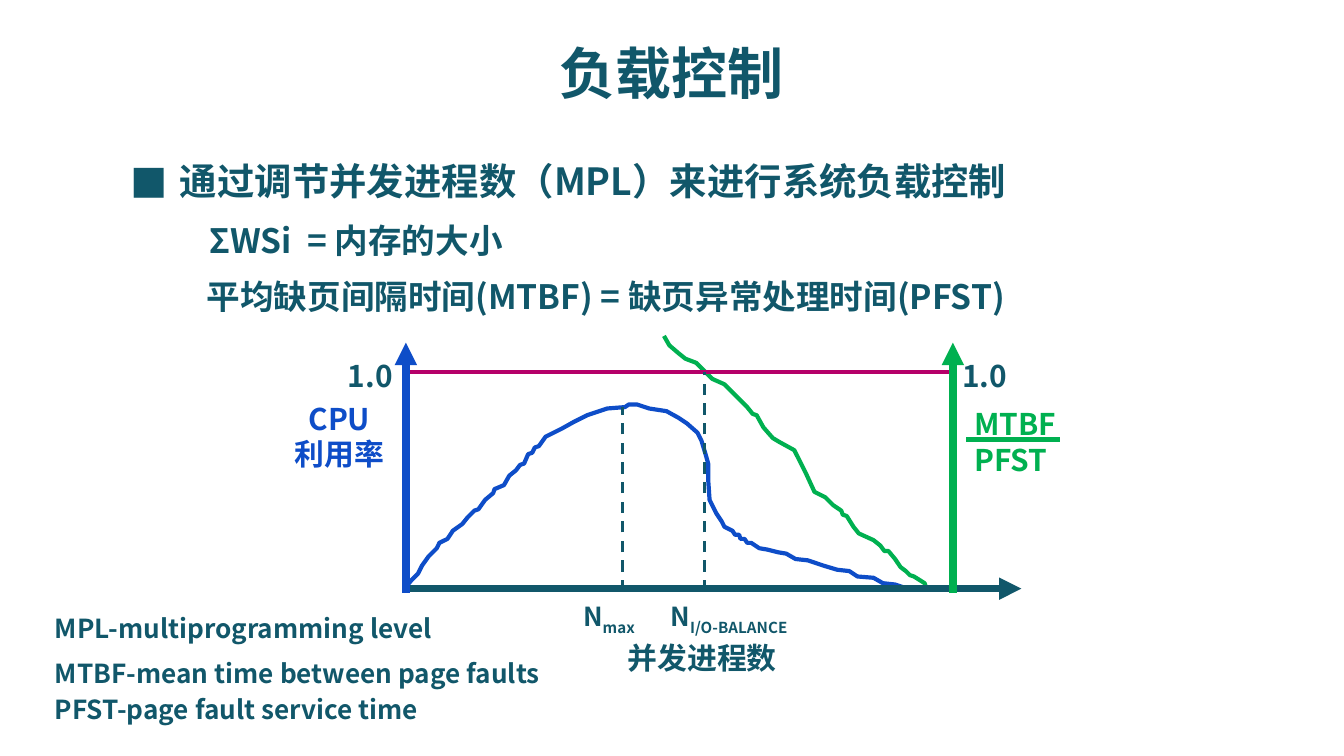
from lxml import etree
from pptx import Presentation, util as u
from pptx.dml.color import RGBColor
from pptx.enum import dml, text
from pptx.oxml.ns import qn

# Grid: 1000 columns on a 16:9 slide, one cell is 0.01 inch
CELL = u.Inches(0.01)
INK, BLUE, GREEN, RED = "11576A", "0E4DC8", "00B050", "B50069"
SC, JP = "Noto Sans CJK SC", "Noto Sans CJK JP"
LEFT, MID = text.PP_ALIGN.LEFT, text.PP_ALIGN.CENTER

prs = Presentation()
prs.slide_width = 1000 * CELL
prs.slide_height = prs.slide_width * 9 // 16
slide = prs.slides.add_slide(prs.slide_layouts[5])


def paint(part, hue):
    """Colour a font or a line."""
    fill = part.fill
    fill.solid()
    fill.fore_color.rgb = RGBColor.from_string(hue)


def write(para, words, size, hue=INK, face=SC, sub=False):
    """Add one bold run."""
    run = para.add_run()
    run.text = words
    run.font.size, run.font.bold, run.font.name = u.Pt(size), True, face
    paint(run.font, hue)
    props = run._r.get_or_add_rPr()
    etree.SubElement(props, qn("a:ea")).set("typeface", face)
    if sub:
        props.set("baseline", "-25000")


# Title
title = slide.shapes.title
title.left, title.top, title.width, title.height = 0, 23 * CELL, 1000 * CELL, 61 * CELL
title.text_frame.vertical_anchor = text.MSO_ANCHOR.MIDDLE
head = title.text_frame.paragraphs[0]
head.alignment = MID
write(head, "负载控制", 30)

# Curves: points in grid cells
cpu = [
    (302, 437), (306, 432), (311, 427), (314, 421), (319, 414), (325, 408),
    (327, 404), (333, 401), (337, 395), (344, 390), (348, 385), (353, 380),
    (356, 379), (361, 372), (367, 367), (368, 364), (375, 361), (379, 354),
    (384, 350), (387, 346), (390, 345), (393, 338), (396, 337), (398, 333),
    (401, 332), (406, 325), (418, 319), (427, 314), (437, 309), (443, 307),
    (452, 304), (465, 303), (468, 301), (474, 301), (483, 304), (496, 306),
    (505, 311), (511, 315), (519, 322), (522, 328), (525, 338), (527, 345),
    (527, 357), (528, 372), (533, 382), (537, 388), (539, 392), (545, 395),
    (547, 398), (550, 398), (551, 401), (554, 401), (556, 404), (559, 404),
    (565, 408), (571, 409), (579, 411), (585, 412), (592, 416), (601, 417),
    (613, 421), (623, 424), (632, 425), (638, 429), (650, 430), (657, 434),
    (666, 435), (675, 438),
]
ratio = [
    (494, 250), (498, 257), (505, 263), (510, 267), (518, 270), (522, 274),
    (530, 282), (539, 286), (545, 292), (556, 303), (560, 308), (563, 309),
    (568, 318), (575, 326), (580, 329), (591, 335), (595, 343), (600, 353),
    (606, 366), (614, 370), (620, 376), (626, 380), (627, 383), (630, 384),
    (635, 392), (639, 397), (650, 402), (655, 406), (658, 410), (661, 410),
    (666, 416), (670, 422), (674, 425), (677, 428), (680, 429), (688, 434),
    (689, 437), (689, 440),
]
for points, hue in ((cpu, BLUE), (ratio, GREEN)):
    pen = slide.shapes.build_freeform(*points[0], scale=CELL)
    pen.add_line_segments(points[1:], close=False)
    curve = pen.convert_to_shape()
    curve.shadow.inherit = False
    curve.fill.background()
    paint(curve.line, hue)
    curve.line.width = u.Pt(2.25)

# Limit, markers, axes and fraction bar: ends, colour, width, style
lines = [
    (304, 277, 706, 277, RED, 2.25, ""),
    (463, 440, 463, 303, INK, 1.5, "dash"),
    (524, 440, 524, 277, INK, 1.5, "dash"),
    (301, 438, 760, 438, INK, 4, "arrow"),
    (302, 441, 302, 255, BLUE, 4, "arrow"),
    (709, 441, 709, 255, GREEN, 4, "arrow"),
    (719, 327, 789, 327, GREEN, 2.25, ""),
]
for *ends, hue, width, style in lines:
    line = slide.shapes.add_connector(1, *(n * CELL for n in ends))
    paint(line.line, hue)
    line.line.width = u.Pt(width)
    if style == "dash":
        line.line.dash_style = dml.MSO_LINE.DASH
    props = line._element.spPr
    if style == "arrow":
        etree.SubElement(props.find(qn("a:ln")), qn("a:tailEnd")).set("type", "triangle")
    etree.SubElement(props, qn("a:effectLst"))

# Texts: place, rows, size, colour, alignment, line spacing, wrap
texts = [
    (87, 114, 47, 44, ["■"], 20, INK, LEFT, None, True),
    (124, 113, 692, 44, ["通过调节并发进程数（MPL）来进行系统负载控制"], 20, INK, LEFT, None, True),
    (146, 162, 310, 37, ["ΣWSi  = 内存的大小"], 18, INK, LEFT, 0.9, True),
    (144, 204, 709, 37, ["平均缺页间隔时间(MTBF) = 缺页异常处理时间(PFST)"], 18, INK, LEFT, 0.9, True),
    (249, 261, 54, 37, ["1.0"], 16, INK, LEFT, None, False),
    (706, 261, 54, 37, ["1.0"], 16, INK, LEFT, None, False),
    (209, 293, 87, 64, ["CPU", "利用率"], 16, BLUE, MID, None, False),
    (715, 297, 85, 64, ["MTBF", "PFST"], 16, GREEN, LEFT, None, False),
    (424, 442, 65, 33, ["N_max"], 14, INK, LEFT, None, False),
    (489, 442, 127, 33, ["N_I/O-BALANCE"], 14, INK, LEFT, None, False),
    (457, 476, 131, 32, ["并发进程数"], 16, INK, MID, 0.8, False),
    (31, 451, 411, 34, ["MPL-multiprogramming level"], 14, INK, LEFT, None, True),
    (31, 484, 411, 62, ["MTBF-mean time between page faults", "PFST-page fault service time"],
     14, INK, LEFT, None, True),
]
for *place, rows, size, hue, align, gap, wrap in texts:
    frame = slide.shapes.add_textbox(*(n * CELL for n in place)).text_frame
    frame.word_wrap = wrap
    frame.auto_size = text.MSO_AUTO_SIZE.SHAPE_TO_FIT_TEXT
    for i, row in enumerate(rows):
        para = frame.add_paragraph() if i else frame.paragraphs[0]
        para.alignment = align
        if gap:
            para.line_spacing = gap
        if i and wrap:
            para.space_before = u.Pt(0.2 * size)
        base, _, low = row.partition("_")
        write(para, base, size, hue, JP if base == "■" else SC)
        if low:
            write(para, low, size, hue, sub=True)

prs.save("out.pptx")
